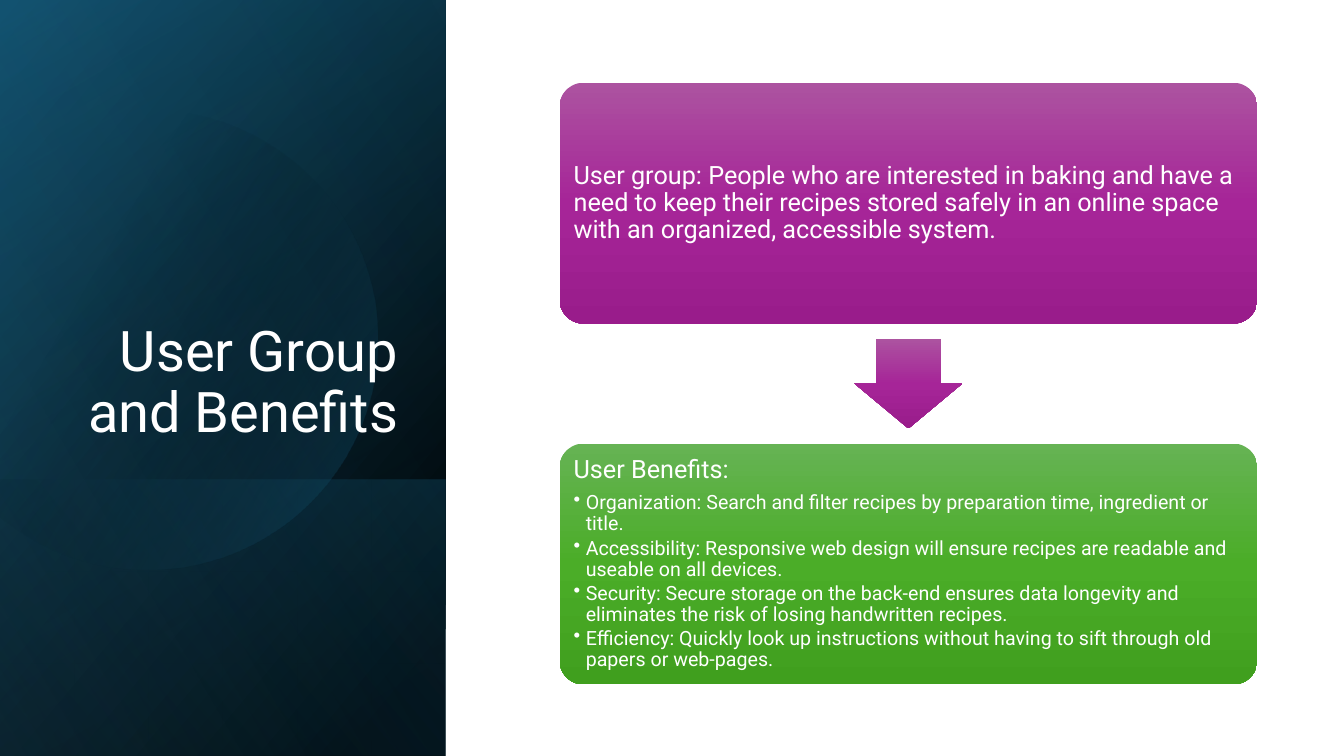
import math

import lxml.etree
import pptx
import pptx.dml.color
import pptx.enum.shapes
import pptx.enum.text
import pptx.oxml.ns
import pptx.util

Inches = pptx.util.Inches
Color = pptx.dml.color.RGBColor
Shape = pptx.enum.shapes.MSO_SHAPE
Align = pptx.enum.text.PP_ALIGN
Anchor = pptx.enum.text.MSO_ANCHOR
qn = pptx.oxml.ns.qn

FONT = "Roboto"
WHITE = Color(0xFF, 0xFF, 0xFF)
BLACK = Color(0x00, 0x00, 0x00)
NAVY = Color(0x10, 0x48, 0x62)
TEAL = Color(0x15, 0x60, 0x82)
SKY = Color(0x46, 0xB1, 0xE1)
PURPLES = [
    (0, Color(0xAC, 0x53, 0xA0), 100),
    (50, Color(0xA6, 0x25, 0x98), 100),
    (100, Color(0x99, 0x1C, 0x8B), 100),
]
GREENS = [
    (0, Color(0x66, 0xB3, 0x54), 100),
    (50, Color(0x4B, 0xAD, 0x28), 100),
    (100, Color(0x40, 0x9F, 0x1E), 100),
]

PANEL_WIDTH = 4.42
SLIDE_HEIGHT = 7.5
BAND_TOP = 4.76
PANEL_LAYERS = [
    (0, [(8, BLACK, 100), (100, NAVY, 100)], 220),
    (0, [(0, BLACK, 0), (99, TEAL, 46)], 240),
    (BAND_TOP, [(2, TEAL, 29), (100, BLACK, 30)], 140),
]
PANEL_GLOW = (0, [(0, BLACK, 0), (99, SKY, 11)], 150)

CARD_LEFT, CARD_WIDTH, CARD_HEIGHT = 5.55, 6.92, 2.39
USER_GROUP = (
    "User group: People who are interested in baking and have a need to keep "
    "their recipes stored safely in an online space with an organized, "
    "accessible system."
)
BENEFITS = [
    "Organization: Search and filter recipes by preparation time, ingredient or title.",
    "Accessibility: Responsive web design will ensure recipes are readable and "
    "useable on all devices.",
    "Security: Secure storage on the back-end ensures data longevity and "
    "eliminates the risk of losing handwritten recipes.",
    "Efficiency: Quickly look up instructions without having to sift through "
    "old papers or web-pages.",
]


def paint_gradient(shape, stops, angle):
    shape.shadow.inherit = False
    shape.line.fill.background()
    shape.fill.gradient()
    shape.fill.gradient_angle = 360 - angle
    stop_list = shape._element.spPr.find(qn("a:gradFill")).find(qn("a:gsLst"))
    for old_stop in list(stop_list):
        stop_list.remove(old_stop)
    for position, color, opacity in stops:
        stop = lxml.etree.SubElement(stop_list, qn("a:gs"), pos=str(position * 1000))
        tint = lxml.etree.SubElement(stop, qn("a:srgbClr"), val=str(color))
        if opacity < 100:
            lxml.etree.SubElement(tint, qn("a:alpha"), val=str(opacity * 1000))


def add_block(slide, kind, left, top, width, height, stops, angle=90):
    block = slide.shapes.add_shape(
        kind, Inches(left), Inches(top), Inches(width), Inches(height)
    )
    paint_gradient(block, stops, angle)
    return block


def add_panel_layer(slide, top, stops, angle):
    add_block(slide, Shape.RECTANGLE, 0, top, PANEL_WIDTH, SLIDE_HEIGHT - top, stops, angle)


def add_disc(slide, center_x, center_y, radius):
    limit = math.acos(-center_x / radius)
    steps = 120
    angles = [limit * (2 * step / steps - 1) for step in range(steps + 1)]
    points = [
        (
            Inches(center_x + radius * math.cos(angle)),
            Inches(center_y + radius * math.sin(angle)),
        )
        for angle in angles
    ]
    builder = slide.shapes.build_freeform(*points[0])
    builder.add_line_segments(points[1:], close=True)
    paint_gradient(builder.convert_to_shape(), [(29, BLACK, 0), (100, TEAL, 43)], 30)


def write_text(para, text, size=18, align=Align.LEFT, space_after=0, bullet=False):
    para.alignment = align
    para.line_spacing = 0.9
    para.space_before = pptx.util.Pt(0)
    para.space_after = pptx.util.Pt(space_after)
    if bullet:
        para.level = 1
        properties = para._p.get_or_add_pPr()
        properties.set("marL", str(Inches(0.12)))
        properties.set("indent", str(-Inches(0.12)))
        lxml.etree.SubElement(properties, qn("a:buChar"), char="•")
    span = para.add_run()
    span.text = text
    span.font.name = FONT
    span.font.size = pptx.util.Pt(size)
    span.font.color.rgb = WHITE


def add_title(slide, text):
    title = slide.shapes.title
    title.left, title.top = Inches(0.64), Inches(1.84)
    title.width, title.height = Inches(3.41), Inches(2.62)
    frame = title.text_frame
    frame.word_wrap = True
    frame.auto_size = pptx.enum.text.MSO_AUTO_SIZE.NONE
    frame.vertical_anchor = Anchor.BOTTOM
    write_text(frame.paragraphs[0], text, size=40, align=Align.RIGHT)
    slide.shapes._spTree.append(title._element)


def add_card(slide, top, stops, heading, bullets=()):
    card = add_block(
        slide, Shape.ROUNDED_RECTANGLE, CARD_LEFT, top, CARD_WIDTH, CARD_HEIGHT, stops
    )
    card.adjustments[0] = 0.1
    frame = card.text_frame
    frame.word_wrap = True
    frame.vertical_anchor = Anchor.MIDDLE
    frame.margin_left = frame.margin_right = Inches(0.07)
    frame.margin_top = frame.margin_bottom = Inches(0.07)
    write_text(frame.paragraphs[0], heading, space_after=6.3)
    for text in bullets:
        write_text(frame.add_paragraph(), text, size=14, space_after=2.1, bullet=True)


def add_down_arrow(slide):
    width = 1.07
    left = CARD_LEFT + (CARD_WIDTH - width) / 2
    arrow = add_block(slide, Shape.DOWN_ARROW, left, 3.36, width, 0.89, PURPLES)
    arrow.adjustments[0] = 0.6
    arrow.adjustments[1] = 0.5


def main():
    deck = pptx.Presentation()
    deck.slide_width = Inches(13.33)
    deck.slide_height = Inches(SLIDE_HEIGHT)
    slide = deck.slides.add_slide(deck.slide_layouts.get_by_name("Title Only"))

    for layer in PANEL_LAYERS:
        add_panel_layer(slide, *layer)
    add_disc(slide, center_x=1.46, center_y=3.37, radius=2.28)
    add_panel_layer(slide, *PANEL_GLOW)

    add_title(slide, "User Group and Benefits")
    add_card(slide, 0.82, PURPLES, USER_GROUP)
    add_down_arrow(slide)
    add_card(slide, 4.4, GREENS, "User Benefits:", BENEFITS)
    deck.save("out.pptx")


if __name__ == "__main__":
    main()
